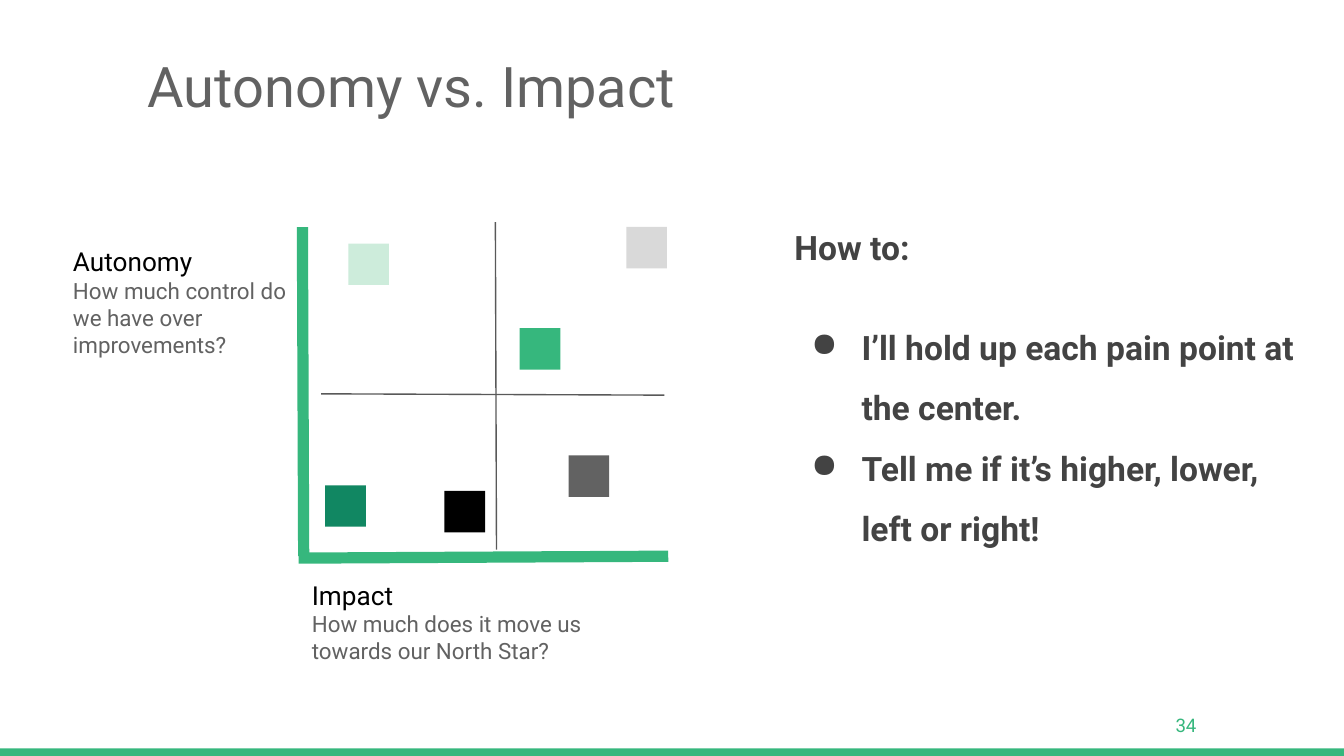
from lxml import etree
from pptx import Presentation
from pptx.dml.color import RGBColor
from pptx.enum import shapes, text
from pptx.oxml import ns
from pptx.util import Pt

GREEN = RGBColor(0x36, 0xB7, 0x7D)
DARK_GREEN = RGBColor(0x11, 0x87, 0x62)
PALE_GREEN = RGBColor(0xCD, 0xEC, 0xDB)
BLACK = RGBColor(0x00, 0x00, 0x00)
CHARCOAL = RGBColor(0x43, 0x43, 0x43)
LINE_GRAY = RGBColor(0x59, 0x59, 0x59)
GRAY = RGBColor(0x62, 0x62, 0x62)
LIGHT_GRAY = RGBColor(0xD9, 0xD9, 0xD9)

FONT = "Roboto"
INSET = 7.2
WIDTH, HEIGHT = 720, 405
MARKER_WIDTH, MARKER_HEIGHT = 21.8, 22.2

# Offsets from the top left corner of the matrix
AXES = [((2.7, 179), (2, 2.7)), ((0, 180), (198, 179))]
GUIDES = [((12, 92), (196, 92.7)), ((105.4, 0), (106, 175.5))]
MARKERS = [
    (175.5, 2.6, LIGHT_GRAY),
    (14.2, 141, DARK_GREEN),
    (118.4, 56.8, GREEN),
    (26.6, 11.5, PALE_GREEN),
    (78.1, 144, BLACK),
    (144.6, 125, GRAY),
]


def add_text_box(slide, box, anchor=text.MSO_ANCHOR.TOP):
    frame = slide.shapes.add_textbox(*map(Pt, box)).text_frame
    frame.word_wrap = True
    frame.vertical_anchor = anchor
    frame.margin_left = frame.margin_right = Pt(INSET)
    frame.margin_top = frame.margin_bottom = Pt(INSET)
    return frame


def add_bullet(paragraph, color):
    properties = paragraph._p.get_or_add_pPr()
    properties.set("marL", str(Pt(36)))
    properties.set("indent", str(Pt(-27)))
    bullet_color = etree.SubElement(properties, ns.qn("a:buClr"))
    etree.SubElement(bullet_color, ns.qn("a:srgbClr"), val=str(color))
    etree.SubElement(properties, ns.qn("a:buChar"), char="●")


def write(frame, words, size, color, bold=False, bullet=False,
          align=text.PP_ALIGN.LEFT, line_spacing=None, space_before=None):
    paragraph = frame.paragraphs[0]
    if paragraph.runs:
        paragraph = frame.add_paragraph()
    if bullet:
        add_bullet(paragraph, color)
    paragraph.alignment = align
    if line_spacing:
        paragraph.line_spacing = line_spacing
    if space_before:
        paragraph.space_before = Pt(space_before)
    run = paragraph.add_run()
    run.text = words
    run.font.name = FONT
    run.font.size = Pt(size)
    run.font.bold = bold
    run.font.color.rgb = color


def add_rectangle(slide, box, color):
    shape = slide.shapes.add_shape(
        shapes.MSO_SHAPE.RECTANGLE, *map(Pt, box))
    shape.shadow.inherit = False
    shape.fill.solid()
    shape.fill.fore_color.rgb = color
    shape.line.fill.background()


def add_line(slide, start, end, color, width):
    connector = slide.shapes.add_connector(
        shapes.MSO_CONNECTOR.STRAIGHT, *map(Pt, (*start, *end)))
    connector.line.color.rgb = color
    connector.line.width = Pt(width)
    etree.SubElement(connector._element.spPr, ns.qn("a:effectLst"))


def add_title(slide, box):
    frame = add_text_box(slide, box, text.MSO_ANCHOR.MIDDLE)
    write(frame, "Autonomy vs. Impact", 30, GRAY)


def add_axis_label(slide, box, name, question):
    frame = add_text_box(slide, box)
    write(frame, name, 14, BLACK)
    write(frame, question, 12, GRAY)


def add_matrix(slide, box):
    left, top, width, height = box

    def place(point):
        return left + point[0], top + point[1]

    # Axes
    for start, end in AXES:
        add_line(slide, place(start), place(end), GREEN, 6)
    add_axis_label(slide, (left, top + height + 4, width - 22, 70.5),
                   "Impact", "How much does it move us towards our North Star?")
    add_axis_label(slide, (left - 128, top + 5.5, 140, 96),
                   "Autonomy", "How much control do we have over improvements?")

    # Pain points
    for x, y, color in MARKERS:
        add_rectangle(
            slide, (*place((x, y)), MARKER_WIDTH, MARKER_HEIGHT), color)

    # Quadrant guides
    for start, end in GUIDES:
        add_line(slide, place(start), place(end), LINE_GRAY, 0.75)


def add_instructions(slide, box):
    frame = add_text_box(slide, box)
    write(frame, "How to:", 18, CHARCOAL, bold=True)
    write(frame, "I’ll hold up each pain point at the center.", 18, CHARCOAL,
          bold=True, bullet=True, line_spacing=1.5, space_before=21)
    write(frame, "Tell me if it’s higher, lower, left or right!", 18, CHARCOAL,
          bold=True, bullet=True, line_spacing=1.5)


def add_footer(slide, box):
    left, top, width, height = box
    bar_height = 4
    add_rectangle(
        slide, (left, top + height - bar_height, width, bar_height), GREEN)
    frame = add_text_box(
        slide, (left + width - 115, top, 43, height - 1),
        text.MSO_ANCHOR.MIDDLE)
    write(frame, "34", 10, GREEN, align=text.PP_ALIGN.RIGHT)


def main():
    presentation = Presentation()
    presentation.slide_width = Pt(WIDTH)
    presentation.slide_height = Pt(HEIGHT)
    slide = presentation.slides.add_slide(presentation.slide_layouts[6])

    add_footer(slide, (0, 373, WIDTH, 32))
    add_matrix(slide, (160, 119, 198, 180))
    add_instructions(slide, (418.5, 114.5, 285, 177))
    add_title(slide, (72, 23, 576, 45.5))

    presentation.save("out.pptx")


if __name__ == "__main__":
    main()
